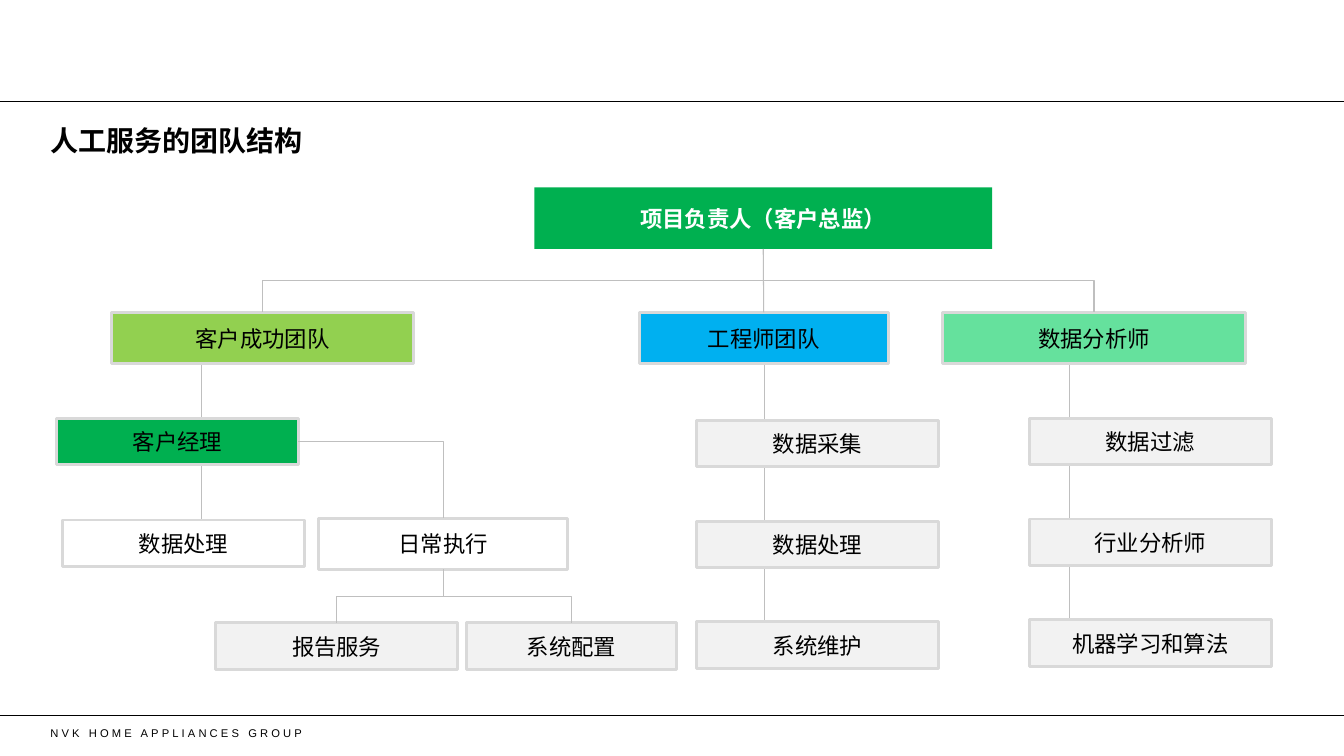
import pptx
import pptx.dml.color
import pptx.enum.shapes
import pptx.enum.text
import pptx.oxml.ns
import pptx.util
from lxml import etree

RGBColor = pptx.dml.color.RGBColor
Inches = pptx.util.Inches
Pt = pptx.util.Pt
qn = pptx.oxml.ns.qn
CONNECTOR = pptx.enum.shapes.MSO_CONNECTOR
ANCHOR = pptx.enum.text.MSO_ANCHOR
ALIGN = pptx.enum.text.PP_ALIGN

BLACK = RGBColor(0x00, 0x00, 0x00)
WHITE = RGBColor(0xFF, 0xFF, 0xFF)
GREEN = RGBColor(0x00, 0xB0, 0x50)
LIME = RGBColor(0x92, 0xD0, 0x50)
BLUE = RGBColor(0x00, 0xB0, 0xF0)
MINT = RGBColor(0x65, 0xE1, 0x9D)
PALE = RGBColor(0xF2, 0xF2, 0xF2)
BORDER = RGBColor(0xD9, 0xD9, 0xD9)
LINK = RGBColor(0xBF, 0xBF, 0xBF)

CJK = "Noto Sans CJK SC"
WIDTH, HEIGHT = 13.33, 7.5
MARGIN = 0.5
# Row grid: team row, then three role rows one inch apart
TEAM_TOP, TEAM_H = 3.1, 0.51
ROLE_TOP, ROLE_STEP = 4.15, 1.0
ROLE_W, ROLE_H = 2.4, 0.46
TOP, RIGHT, BOTTOM = 0, 3, 2


def role_top(row):
    return ROLE_TOP + row * ROLE_STEP


def style_text(p, text, size, color, font=CJK, bold=False):
    r = p.add_run()
    r.text = text
    p.font.name = font
    p.font.size = Pt(size)
    p.font.bold = bold
    p.font.color.rgb = color
    latin = p.font._element.find(qn("a:latin"))
    ea = etree.Element(qn("a:ea"), typeface=font)
    latin.addnext(ea)
    return r


def add_label(slide, x, y, w, h, text, size, anchor, **style):
    sp = slide.shapes.add_textbox(Inches(x), Inches(y), Inches(w), Inches(h))
    tf = sp.text_frame
    tf.word_wrap = True
    tf.vertical_anchor = anchor
    tf.margin_left = tf.margin_right = tf.margin_top = tf.margin_bottom = 0
    return style_text(tf.paragraphs[0], text, size, BLACK, **style)


def add_box(slide, x, y, w, h, text, fill, color=BLACK, bold=False, border=True):
    sp = slide.shapes.add_shape(pptx.enum.shapes.MSO_SHAPE.RECTANGLE,
                                Inches(x), Inches(y), Inches(w), Inches(h))
    sp.shadow.inherit = False
    sp.fill.solid()
    sp.fill.fore_color.rgb = fill
    if border:
        sp.line.color.rgb = BORDER
        sp.line.width = Pt(2)
    else:
        sp.line.fill.background()
    tf = sp.text_frame
    tf.word_wrap = True
    tf.vertical_anchor = ANCHOR.MIDDLE
    p = tf.paragraphs[0]
    p.alignment = ALIGN.CENTER
    style_text(p, text, 16, color, bold=bold)
    return sp


def add_role(slide, x, y, text, fill=PALE, w=ROLE_W):
    return add_box(slide, x, y, w, ROLE_H, text, fill)


def add_team(slide, x, w, text, fill):
    return add_box(slide, x, TEAM_TOP, w, TEAM_H, text, fill)


def add_line(slide, x1, y1, x2, y2, color=LINK, kind=CONNECTOR.STRAIGHT):
    c = slide.shapes.add_connector(kind, Inches(x1), Inches(y1), Inches(x2), Inches(y2))
    c.line.color.rgb = color
    c.line.width = Pt(0.75)
    etree.SubElement(c._element.spPr, qn("a:effectLst"))
    return c


def join(slide, a, side_a, b, side_b, kind):
    c = add_line(slide, 0, 0, 1, 1, kind=kind)
    c.begin_connect(a, side_a)
    c.end_connect(b, side_b)
    return c


def branch_down(slide, parent, child):
    """Elbow from the bottom of parent to the top of child, turning halfway."""
    c = join(slide, parent, BOTTOM, child, TOP, CONNECTOR.ELBOW)
    x1, y1, x2, y2 = c.begin_x, c.begin_y, c.end_x, c.end_y
    across, down = abs(x2 - x1), y2 - y1
    xfrm = c._element.spPr.find(qn("a:xfrm"))
    for flip in ("flipH", "flipV"):
        xfrm.attrib.pop(flip, None)
    # The elbow is drawn sideways and turned a quarter about its centre
    c.left, c.top = (x1 + x2 - down) // 2, (y1 + y2 - across) // 2
    c.width, c.height = down, across
    if x2 < x1:
        xfrm.set("rot", "5400000")
    else:
        xfrm.set("rot", "16200000")
        xfrm.set("flipH", "1")


def main():
    prs = pptx.Presentation()
    prs.slide_width, prs.slide_height = Inches(WIDTH), Inches(HEIGHT)
    slide = prs.slides.add_slide(prs.slide_layouts[6])

    # Frame: rules, footer and title
    for y in (1.01, 7.1):
        add_line(slide, 0, y, WIDTH, y, BLACK)
    footer = add_label(slide, MARGIN, 7.15, 5.03, 0.24, "NVK HOME APPLIANCES GROUP",
                       8, ANCHOR.MIDDLE, font="Arial")
    footer._r.get_or_add_rPr().set("spc", "222")
    add_label(slide, MARGIN, 1.22, WIDTH - 2 * MARGIN, 0.41, "人工服务的团队结构",
              20, ANCHOR.TOP, bold=True)

    # Vertical trunks behind the boxes
    for x, top, bottom in ((2, 3.35, 5.46), (10.61, 3.41, 6.18), (7.58, 3.61, 6.38)):
        add_line(slide, x, top, x, bottom)

    # Lead and teams
    lead = add_box(slide, 5.3, 1.86, 4.54, 0.61, "项目负责人（客户总监）", GREEN,
                   color=WHITE, bold=True, border=False)
    success = add_team(slide, 1.11, 2.99, "客户成功团队", LIME)
    engineers = add_team(slide, 6.34, 2.47, "工程师团队", BLUE)
    analysts = add_team(slide, 9.35, 3, "数据分析师", MINT)

    # Role stacks of the engineers and the analysts
    stacks = ((6.91, 0.02, ("数据采集", "数据处理", "系统维护")),
              (10.21, 0, ("数据过滤", "行业分析师", "机器学习和算法")))
    for x, drop, roles in stacks:
        for row, role in enumerate(roles):
            add_role(slide, x, role_top(row) + drop, role)

    # Customer success roles
    manager = add_role(slide, 0.56, role_top(0), "客户经理", GREEN)
    add_role(slide, 0.62, role_top(1) + 0.01, "数据处理", WHITE)
    daily = add_box(slide, 3.16, 5.14, 2.47, TEAM_H, "日常执行", WHITE)
    reports = add_role(slide, 2.14, role_top(2) + 0.03, "报告服务")
    setup = add_role(slide, 4.63, role_top(2) + 0.03, "系统配置", w=2.08)

    # Links between the boxes
    join(slide, lead, BOTTOM, engineers, TOP, CONNECTOR.STRAIGHT)
    for parent, child in ((lead, success), (lead, analysts), (daily, reports), (daily, setup)):
        branch_down(slide, parent, child)
    corner = join(slide, manager, RIGHT, daily, TOP, CONNECTOR.ELBOW)
    corner._element.spPr.find(qn("a:prstGeom")).set("prst", "bentConnector2")

    prs.save("out.pptx")


if __name__ == "__main__":
    main()
